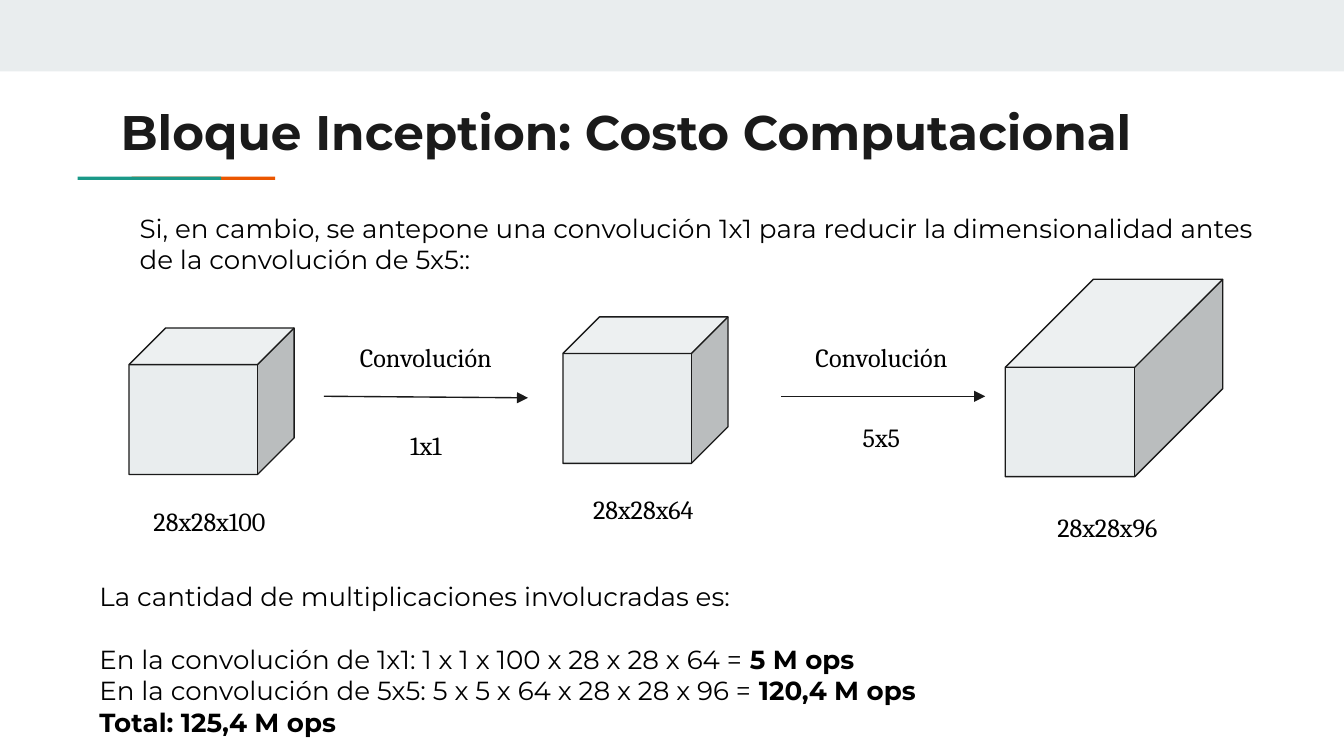
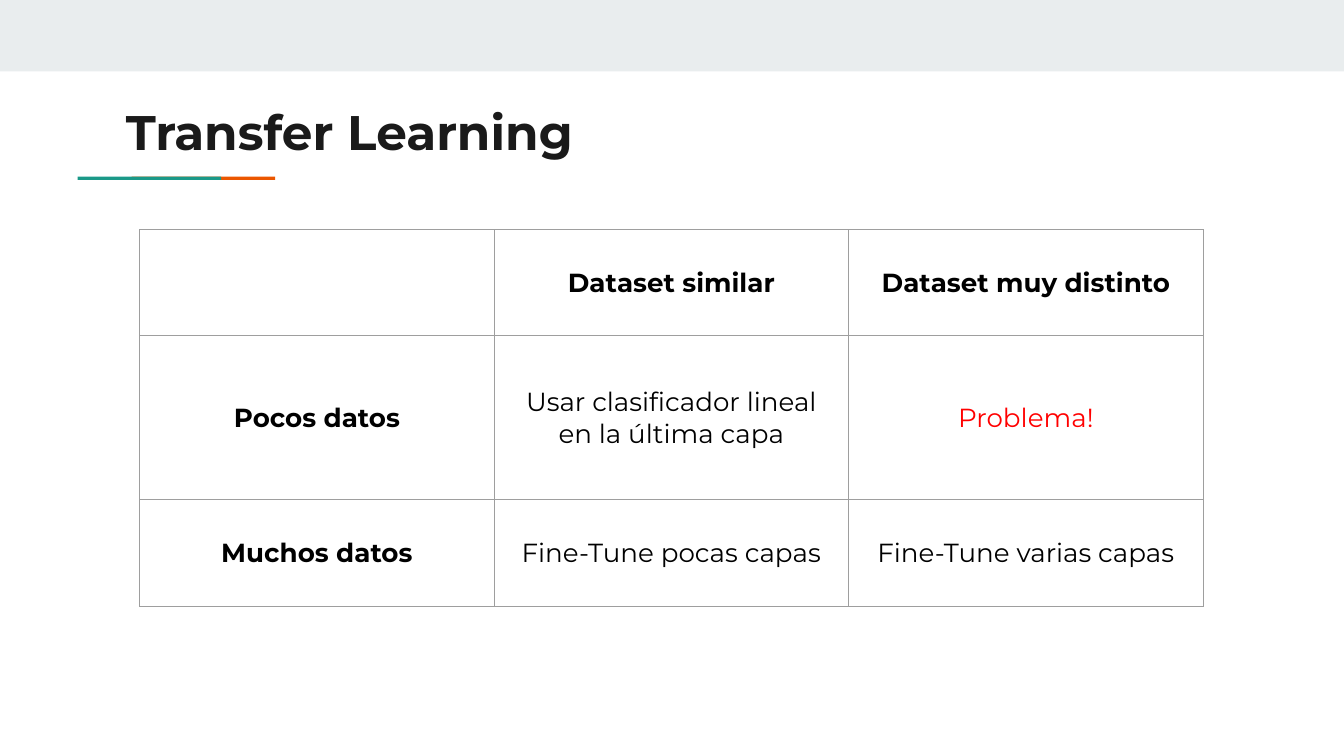
from dataclasses import dataclass

from lxml.etree import SubElement
from pptx import Presentation
from pptx.dml.color import RGBColor as RGB
from pptx.enum.shapes import MSO_CONNECTOR as Line, MSO_SHAPE as Shape
from pptx.enum.text import MSO_ANCHOR as Anchor, PP_ALIGN as Align
from pptx.oxml.ns import qn
from pptx.util import Cm, Pt


@dataclass(frozen=True)
class Theme:
    band: str = "E9EDEE"
    ink: str = "1A1A1A"
    text: str = "000000"
    teal: str = "1A9988"
    orange: str = "EB5600"
    alert: str = "FF0000"
    grid: str = "9E9E9E"
    sans: str = "Montserrat"
    serif: str = "Cambria"
    title: int = 26
    body: int = 14
    stroke: float = 0.75
    inset: float = 0.25


T = Theme()
MARGINS = {f"margin_{side}": Cm(T.inset) for side in ("left", "top", "right", "bottom")}
LABEL_W, LABEL_H = 3.5, 1.12


def apply(obj, values):
    for name, value in values.items():
        setattr(obj, name, value)


def cms(box):
    return [Cm(v) for v in box]


def add_run(p, text, size=T.body, font=T.sans, color=T.text, bold=False):
    r = p.add_run()
    r.text = text
    apply(r.font, {"size": Pt(size), "name": font, "bold": bold})
    r.font.color.rgb = RGB.from_string(color)


def add_text(s, box, lines, align=Align.LEFT, **fmt):
    tf = s.shapes.add_textbox(*cms(box)).text_frame
    apply(tf, {"word_wrap": True, "vertical_anchor": Anchor.TOP, **MARGINS})
    for i, runs in enumerate(lines):
        p = tf.add_paragraph() if i else tf.paragraphs[0]
        p.alignment = align
        for text, bold in runs:
            add_run(p, text, bold=bold, **fmt)
    return tf


def add_label(s, left, top, text):
    add_text(s, (left, top, LABEL_W, LABEL_H), [[(text, False)]], Align.CENTER, font=T.serif)


def add_solid(s, kind, box, fill, line=None):
    sp = s.shapes.add_shape(kind, *cms(box))
    sp.shadow.inherit = False
    sp.fill.solid()
    sp.fill.fore_color.rgb = RGB.from_string(fill)
    if line:
        sp.line.color.rgb = RGB.from_string(line)
        sp.line.width = Pt(T.stroke)
    else:
        sp.line.fill.background()
    return sp


def add_frame(prs, title, box):
    s = prs.slides.add_slide(prs.slide_layouts[6])
    add_solid(s, Shape.RECTANGLE, (0, 0, 25.4, 1.35), T.band)
    for left, color in ((2.49, T.orange), (1.47, T.teal)):
        add_solid(s, Shape.RECTANGLE, (left, 3.34, 2.71, 0.06), color)
    add_text(s, box, [[(title, True)]], size=T.title, color=T.ink)
    return s


def add_volume(s, box, depth, caption, shift, gap):
    left, top, width, height = box
    add_solid(s, Shape.CUBE, box, T.band, T.ink).adjustments[0] = depth
    add_label(s, left + shift, top + height + gap, caption)


def add_step(s, box, kernel, shift, gap):
    left, top, width, drop = box
    c = s.shapes.add_connector(Line.STRAIGHT, *cms((left, top, left + width, top + drop)))
    c.line.color.rgb = RGB.from_string(T.ink)
    c.line.width = Pt(T.stroke)
    SubElement(c.line._get_or_add_ln(), qn("a:tailEnd"), type="triangle")
    SubElement(c._element.spPr, qn("a:effectLst"))
    add_label(s, left + shift, top - 1.29, "Convolución")
    add_label(s, left + shift, top + gap, kernel)


def add_borders(cell):
    tc_pr = cell._tc.get_or_add_tcPr()
    for side in ("lnL", "lnR", "lnT", "lnB"):
        ln = SubElement(tc_pr, qn(f"a:{side}"), w=str(Pt(T.stroke)))
        SubElement(SubElement(ln, qn("a:solidFill")), qn("a:srgbClr"), val=T.grid)


def add_grid(s, box, row_heights, rows):
    table = s.shapes.add_table(len(rows), len(rows[0]), *cms(box)).table
    apply(table, {"first_row": False, "horz_banding": False})
    for col in table.columns:
        col.width = Cm(box[2] / len(rows[0]))
    for i, (height, texts) in enumerate(zip(row_heights, rows)):
        table.rows[i].height = Cm(height)
        for j, text in enumerate(texts):
            cell = table.cell(i, j)
            apply(cell, {"vertical_anchor": Anchor.MIDDLE, **MARGINS})
            add_borders(cell)
            cell.fill.background()
            if text:
                p = cell.text_frame.paragraphs[0]
                p.alignment = Align.CENTER
                color = T.alert if text == "Problema!" else T.text
                add_run(p, text, color=color, bold=i == 0 or j == 0)


def build_cost_slide(prs):
    s = add_frame(prs, "Bloque Inception: Costo Computacional", (2.03, 1.68, 21.36, 1.5))
    add_text(s, (2.39, 3.76, 22.17, 1.7), [[(
        "Si, en cambio, se antepone una convolución 1x1 para reducir la "
        "dimensionalidad antes de la convolución de 5x5::", False)]])
    for volume in (
        ((2.44, 6.2, 3.12, 2.77), 0.25, "28x28x100", -0.23, 0.33),
        ((10.64, 5.99, 3.12, 2.77), 0.25, "28x28x64", -0.23, 0.31),
        ((19, 5.28, 4.11, 3.73), 0.446, "28x28x96", 0.18, 0.41),
    ):
        add_volume(s, *volume)
    add_step(s, (6.12, 7.49, 3.86, 0.03), "1x1", 0.18, 0.38)
    add_step(s, (14.76, 7.49, 3.86, 0), "5x5", 0.15, 0.23)
    tf = add_text(s, (1.63, 10.72, 22.33, 3.5), [
        [("La cantidad de multiplicaciones involucradas es:", False)],
        [("En la convolución de 1x1: 1 x 1 x 100 x 28 x 28 x 64 = ", False), ("5 M ops", True)],
        [("En la convolución de 5x5: 5 x 5 x 64 x 28 x 28 x 96 = ", False), ("120,4 M ops", True)],
        [("Total: 125,4 M ops", True)],
    ])
    tf.paragraphs[0].space_after = Pt(17)


def build_transfer_slide(prs):
    s = add_frame(prs, "Transfer Learning", (2.13, 1.68, 22.89, 1.5))
    add_grid(s, (2.64, 4.34, 20.1, 7.12), (2.01, 3.1, 2.01), [
        ("", "Dataset similar", "Dataset muy distinto"),
        ("Pocos datos", "Usar clasificador lineal en la última capa", "Problema!"),
        ("Muchos datos", "Fine-Tune pocas capas", "Fine-Tune varias capas"),
    ])


def main():
    prs = Presentation()
    apply(prs, {"slide_width": Cm(25.4), "slide_height": Cm(14.29)})
    build_cost_slide(prs)
    build_transfer_slide(prs)
    prs.save("out.pptx")


if __name__ == "__main__":
    main()
